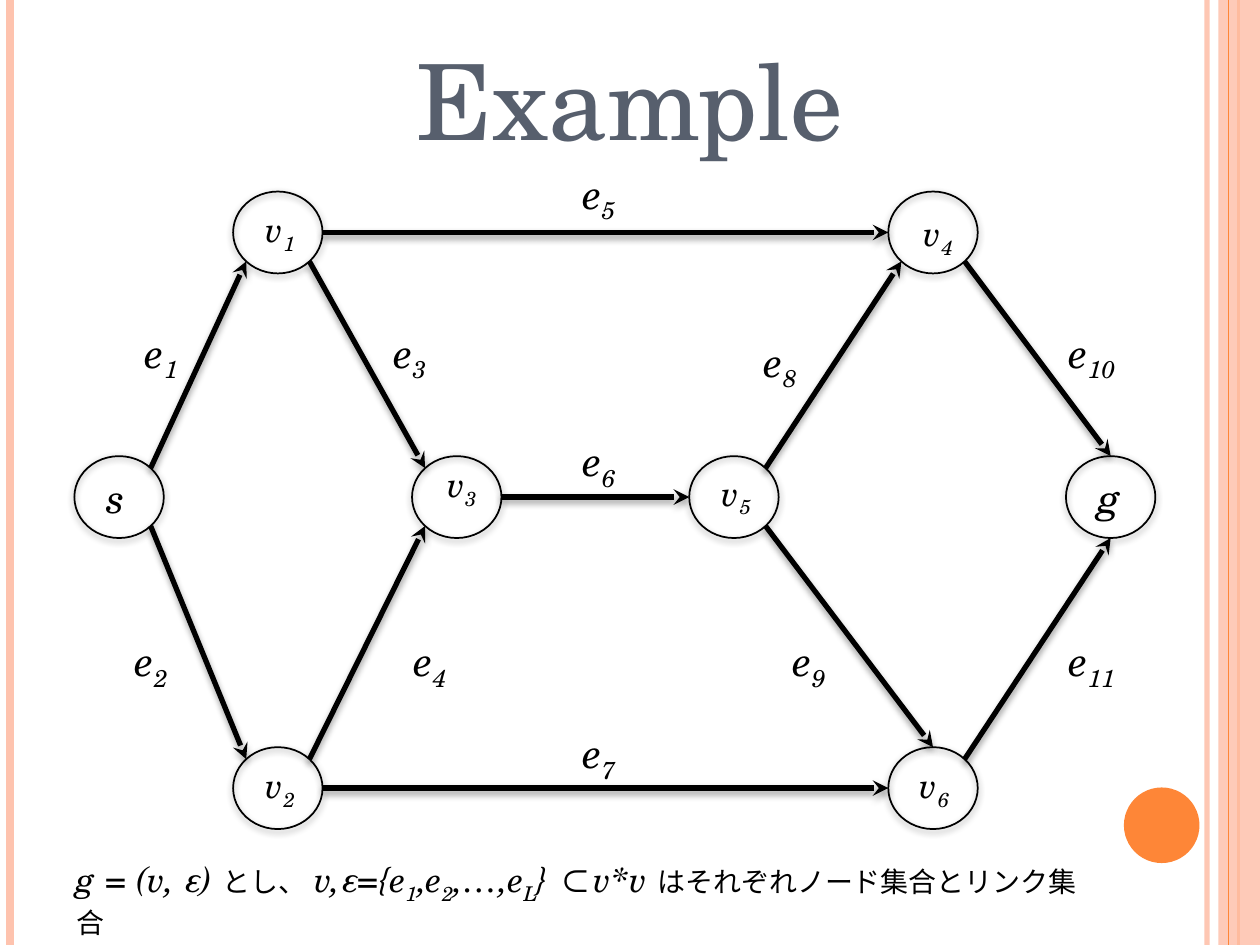
from dataclasses import dataclass
from math import sqrt

from lxml import etree
from pptx import Presentation
from pptx.dml.color import RGBColor
from pptx.enum.shapes import MSO_CONNECTOR, MSO_SHAPE
from pptx.enum.text import MSO_ANCHOR, MSO_AUTO_SIZE, PP_ALIGN
from pptx.oxml.ns import qn
from pptx.util import Inches, Pt

STRAIGHT = MSO_CONNECTOR.STRAIGHT
OVAL, RECTANGLE = MSO_SHAPE.OVAL, MSO_SHAPE.RECTANGLE
GROW, MIDDLE, CENTER = MSO_AUTO_SIZE.SHAPE_TO_FIT_TEXT, MSO_ANCHOR.MIDDLE, PP_ALIGN.CENTER


@dataclass(frozen=True)
class Theme:
    font: str = "TeX Gyre Schola"
    ink: str = "000000"
    title: str = "575F6D"
    accent: str = "FE8637"
    pale: str = "FEC3AE"
    title_size: int = 60
    label_size: int = 24
    small_size: int = 20
    japanese_size: int = 16


@dataclass(frozen=True)
class Part:
    """A stretch of text with one format."""
    text: str
    size: int
    italic: bool = True
    subscript: bool = False


NODE_WIDTH, NODE_HEIGHT = 0.71, 0.65
DIAGONAL = 1 / sqrt(2)
# Points on a node's rim, as fractions of its radii
RIM = {
    "top": (0, -1), "bottom": (0, 1), "left": (-1, 0), "right": (1, 0),
    "top left": (-DIAGONAL, -DIAGONAL), "top right": (DIAGONAL, -DIAGONAL),
    "bottom left": (-DIAGONAL, DIAGONAL), "bottom right": (DIAGONAL, DIAGONAL),
}

# Node: left and top of the circle, then of its label
NODES = {
    "s": (0.59, 3.62, 0.75, 3.69),
    "v1": (1.85, 1.52, 2.01, 1.6),
    "v2": (1.85, 5.93, 2.01, 6.01),
    "v3": (3.27, 3.62, 3.45, 3.62),
    "v4": (7.05, 1.52, 7.23, 1.63),
    "v5": (5.47, 3.62, 5.63, 3.69),
    "v6": (7.05, 5.93, 7.2, 6.01),
    "g": (8.46, 3.62, 8.62, 3.69),
}

# Edge: start node and rim point, end node and rim point, label position
EDGES = {
    "e1": ("s", "top right", "v1", "bottom left", 1.06, 2.54),
    "e2": ("s", "bottom right", "v2", "top left", 0.98, 4.99),
    "e3": ("v1", "bottom right", "v3", "top left", 3.03, 2.54),
    "e4": ("v2", "top right", "v3", "bottom left", 3.19, 4.99),
    "e5": ("v1", "right", "v4", "left", 4.53, 1.28),
    "e6": ("v3", "right", "v5", "left", 4.53, 3.4),
    "e7": ("v2", "right", "v6", "left", 4.53, 5.72),
    "e8": ("v5", "top right", "v4", "bottom left", 5.97, 2.61),
    "e9": ("v5", "bottom right", "v6", "top", 6.2, 4.99),
    "e10": ("v4", "bottom right", "g", "top", 8.39, 2.54),
    "e11": ("v6", "top right", "g", "bottom", 8.39, 4.99),
}


def rim_point(node, side):
    left, top = NODES[node][:2]
    dx, dy = RIM[side]
    return left + NODE_WIDTH / 2 * (1 + dx), top + NODE_HEIGHT / 2 * (1 + dy)


def symbol(name, size):
    """Split a name such as e10 into its letter and its subscript."""
    parts = [Part(name[0], size)]
    if name[1:]:
        parts.append(Part(name[1:], size, subscript=True))
    return parts


class GraphSlide:
    def __init__(self, slide, theme):
        self.slide = slide
        self.theme = theme

    def set_alpha(self, element, percent):
        color = next(element.iter(qn("a:srgbClr")))
        etree.SubElement(color, qn("a:alpha")).set("val", str(percent * 1000))

    def set_effects(self, shape, alpha=None, distance=0):
        """Give an empty effect list, or a soft shadow that falls straight down."""
        effects = etree.SubElement(shape._element.spPr, qn("a:effectLst"))
        if alpha:
            shadow = etree.SubElement(
                effects, qn("a:outerShdw"), blurRad=str(Pt(4)), dist=str(Pt(distance)),
                dir="5400000", rotWithShape="0")
            etree.SubElement(shadow, qn("a:srgbClr")).set("val", self.theme.ink)
            self.set_alpha(shadow, alpha)

    def line(self, start, end, color, width):
        line = self.slide.shapes.add_connector(STRAIGHT, *map(Inches, (*start, *end)))
        line.line.color.rgb = RGBColor.from_string(color)
        line.line.width = Pt(width)
        return line

    def stripe(self, x, color, width, alpha=None):
        stripe = self.line((x, 0), (x, 7.5), color, width)
        if alpha:
            self.set_alpha(stripe._element.spPr, alpha)
        self.set_effects(stripe)

    def arrow(self, start, end):
        arrow = self.line(start, end, self.theme.ink, 3)
        outline = arrow._element.spPr.find(qn("a:ln"))
        etree.SubElement(outline, qn("a:tailEnd")).set("type", "stealth")
        self.set_effects(arrow, alpha=40, distance=2)

    def solid(self, kind, box, color, alpha=None):
        shape = self.slide.shapes.add_shape(kind, *map(Inches, box))
        shape.shadow.inherit = False
        shape.fill.solid()
        shape.fill.fore_color.rgb = RGBColor.from_string(color)
        shape.line.fill.background()
        if alpha:
            self.set_alpha(shape._element.spPr, alpha)

    def node(self, left, top):
        box = left, top, NODE_WIDTH, NODE_HEIGHT
        circle = self.slide.shapes.add_shape(OVAL, *map(Inches, box))
        circle.fill.background()
        circle.line.color.rgb = RGBColor.from_string(self.theme.ink)
        circle.line.width = Pt(1)
        self.set_effects(circle, alpha=42, distance=1.6)

    def text(self, box, parts, color=None, wrap=True, grow=True):
        frame = self.slide.shapes.add_textbox(*map(Inches, box)).text_frame
        frame.word_wrap = wrap
        if grow:
            frame.auto_size = GROW
        for part in parts:
            run = frame.paragraphs[0].add_run()
            run.text = part.text
            run.font.name = self.theme.font
            run.font.size = Pt(part.size)
            run.font.italic = part.italic
            run.font.color.rgb = RGBColor.from_string(color or self.theme.ink)
            if part.subscript:
                run.font._element.set("baseline", "-25000")
        return frame


def main():
    deck = Presentation()
    deck.slide_width, deck.slide_height = Inches(10), Inches(7.5)
    theme = Theme()
    graph = GraphSlide(deck.slides.add_slide(deck.slide_layouts[6]), theme)

    # Side decoration
    graph.stripe(9.58, theme.pale, 3, alpha=93)
    graph.stripe(0.08, theme.pale, 4.5)
    graph.stripe(9.83, theme.accent, 1.5)
    graph.solid(RECTANGLE, (9.67, 0, 0.33, 7.5), theme.pale, alpha=87)
    graph.stripe(9.75, theme.accent, 0.75)
    graph.solid(OVAL, (8.92, 6.25, 0.6, 0.6), theme.accent)

    # Nodes
    for name, (left, top, label_left, label_top) in NODES.items():
        graph.node(left, top)
        inner = name.startswith("v")
        size = theme.small_size if inner else theme.label_size
        width, height = (0.53, 0.4) if inner else (0.47, 0.46)
        graph.text((label_left, label_top, width, height), symbol(name, size), wrap=False)

    # Edges
    for name, (start, start_side, end, end_side, left, top) in EDGES.items():
        graph.arrow(rim_point(start, start_side), rim_point(end, end_side))
        width = 0.53 if len(name) == 2 else 0.63
        graph.text((left, top, width, 0.46), symbol(name, theme.label_size))

    # Title
    title = graph.text((1.93, 0.21, 6.14, 1.15),
                       [Part("Example", theme.title_size, italic=False)],
                       color=theme.title, grow=False)
    title.vertical_anchor = MIDDLE
    title.paragraphs[0].alignment = CENTER

    # Definition of the graph
    small, japanese = theme.small_size, theme.japanese_size
    definition = [Part("g = (v, ε) ", small), Part("とし、", japanese, italic=False),
                  Part(" ", small, italic=False)]
    for lead, index in (("v,ε={e", "1"), (",e", "2"), (",…,e", "L")):
        definition += [Part(lead, small), Part(index, small, subscript=True)]
    definition += [Part("} ⊂v*v ", small),
                   Part("はそれぞれノード集合とリンク集合", japanese, italic=False)]
    graph.text((0.51, 6.76, 8.27, 0.44), definition)

    deck.save("out.pptx")


if __name__ == "__main__":
    main()
